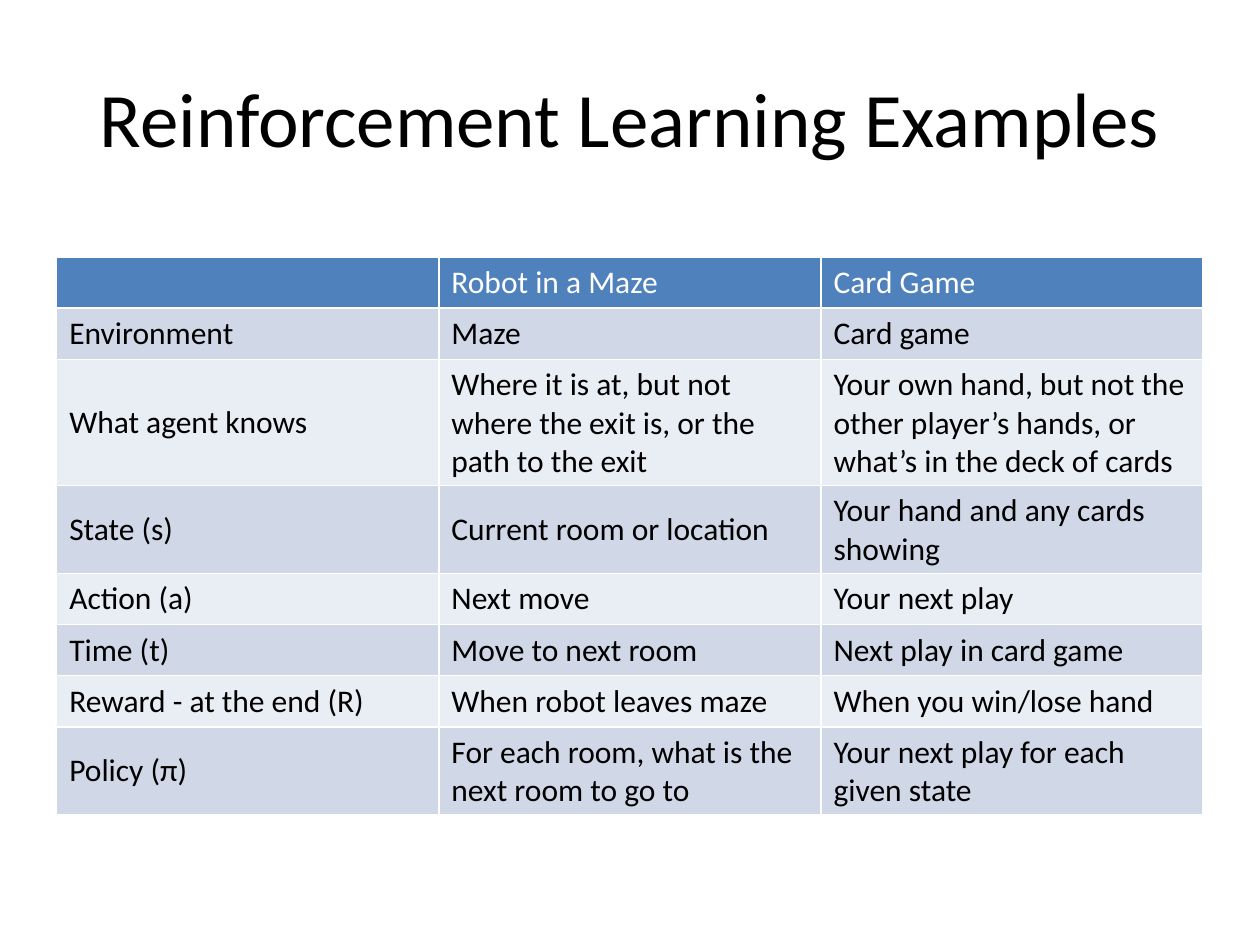
"""Build a slide that compares two reinforcement learning examples in a table."""
from pptx import Presentation
from pptx.dml.color import RGBColor
from pptx.enum.text import MSO_ANCHOR, PP_ALIGN
from pptx.util import Pt

TITLE = "Reinforcement Learning Examples"
EXAMPLES = [
    ("", "Robot in a Maze", "Card Game"),
    ("Environment", "Maze", "Card game"),
    ("What agent knows",
     "Where it is at, but not where the exit is, or the path to the exit",
     "Your own hand, but not the other player’s hands, or what’s in the deck of cards"),
    ("State (s)", "Current room or location", "Your hand and any cards showing"),
    ("Action (a)", "Next move", "Your next play"),
    ("Time (t)", "Move to next room", "Next play in card game"),
    ("Reward - at the end (R)", "When robot leaves maze", "When you win/lose hand"),
    ("Policy (π)", "For each room, what is the next room to go to",
     "Your next play for each given state"),
]
COLORS = {"header": "4F81BD", "odd": "D0D8E8", "even": "E9EDF4",
          "text": "000000", "header_text": "FFFFFF"}
FONT = "Calibri"
COLUMN_WIDTH, ROW_HEIGHT = 218.4, 29.2


def write(frame, text, size, color):
    frame.text = text
    for run in frame.paragraphs[0].runs:
        run.font.name = FONT
        run.font.size = Pt(size)
        run.font.bold = False
        run.font.color.rgb = RGBColor.from_string(COLORS[color])


presentation = Presentation()
presentation.slide_width, presentation.slide_height = Pt(720), Pt(540)
slide = presentation.slides.add_slide(presentation.slide_layouts[6])

title = slide.shapes.add_textbox(Pt(36), Pt(21.6), Pt(648), Pt(90)).text_frame
title.word_wrap = True
title.vertical_anchor = MSO_ANCHOR.MIDDLE
write(title, TITLE, 44, "text")
title.paragraphs[0].alignment = PP_ALIGN.CENTER

row_count, column_count = len(EXAMPLES), len(EXAMPLES[0])
comparison = slide.shapes.add_table(
    row_count, column_count, Pt(32.4), Pt(146.9),
    Pt(COLUMN_WIDTH * column_count), Pt(ROW_HEIGHT * row_count)).table
for column in comparison.columns:
    column.width = Pt(COLUMN_WIDTH)

for row_index, entries in enumerate(EXAMPLES):
    comparison.rows[row_index].height = Pt(ROW_HEIGHT)
    is_header = row_index == 0
    band = "header" if is_header else ("even", "odd")[row_index % 2]
    for column_index, entry in enumerate(entries):
        cell = comparison.cell(row_index, column_index)
        cell.fill.solid()
        cell.fill.fore_color.rgb = RGBColor.from_string(COLORS[band])
        cell.vertical_anchor = MSO_ANCHOR.TOP if is_header else MSO_ANCHOR.MIDDLE
        write(cell.text_frame, entry, 18, "header_text" if is_header else "text")

presentation.save("out.pptx")
